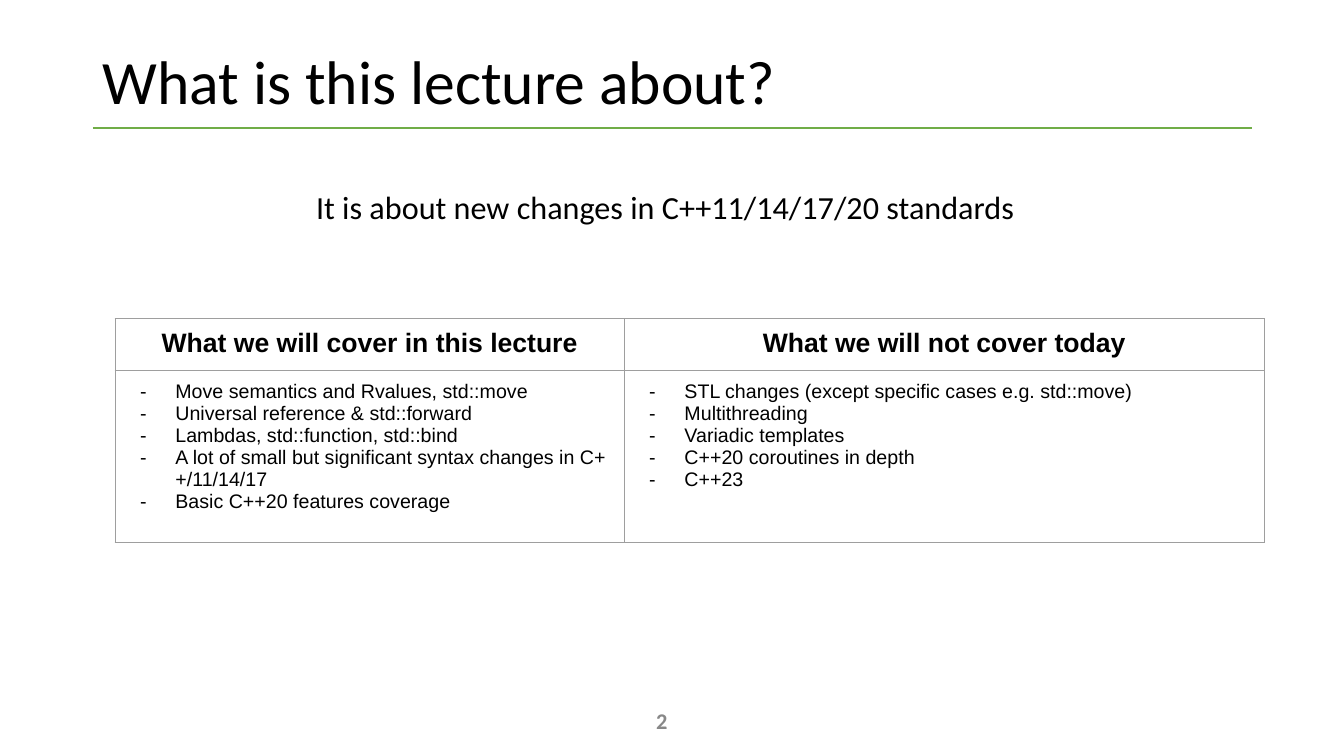
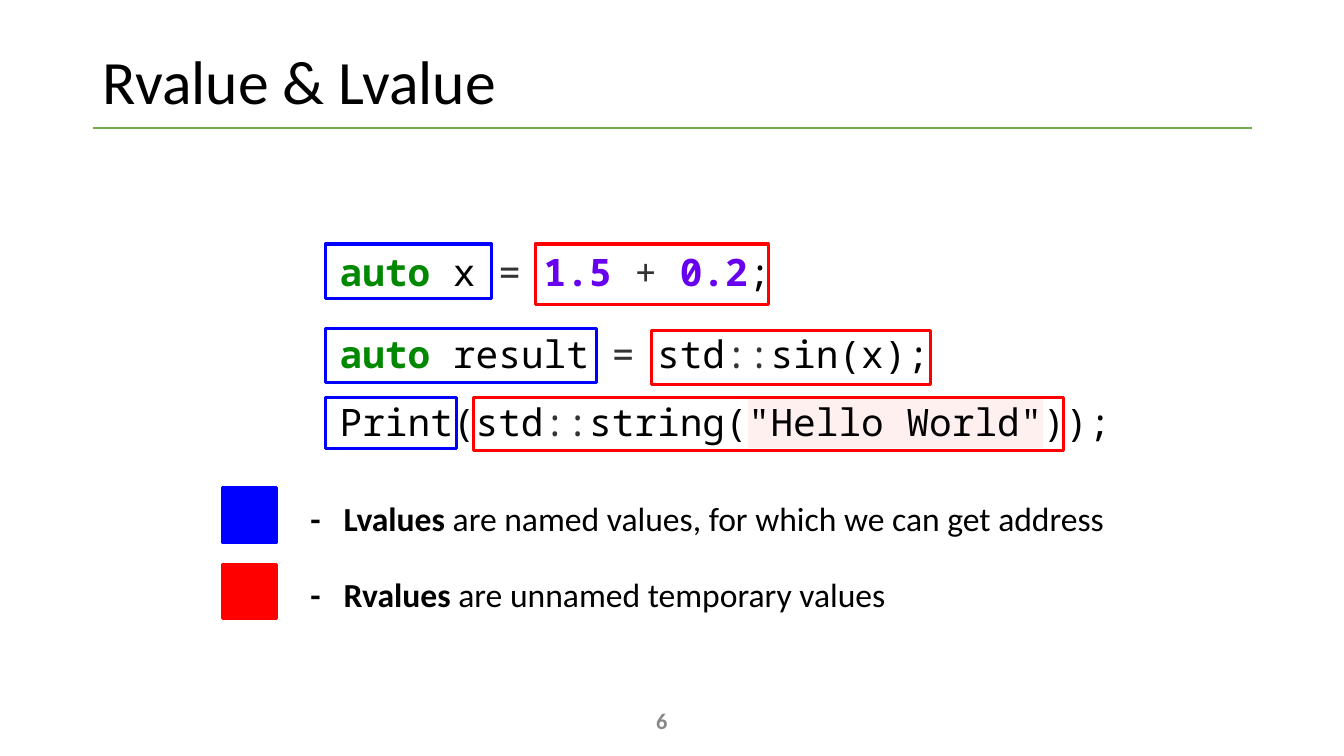
from lxml import etree
from pptx import Presentation
from pptx.dml.color import RGBColor
from pptx.enum.shapes import MSO_CONNECTOR, MSO_SHAPE
from pptx.enum.text import MSO_ANCHOR, PP_ALIGN
from pptx.oxml.ns import qn
from pptx.util import Cm, Pt

RECTANGLE = MSO_SHAPE.RECTANGLE
STRAIGHT = MSO_CONNECTOR.STRAIGHT
TOP, MIDDLE = MSO_ANCHOR.TOP, MSO_ANCHOR.MIDDLE
LEFT, CENTER = PP_ALIGN.LEFT, PP_ALIGN.CENTER

COLORS = {
    "text": "000000",
    "rule": "70AD47",
    "number": "888888",
    "border": "9E9E9E",
    "keyword": "008800",
    "operator": "333333",
    "literal": "6600EE",
    "highlight": "FFF0F0",
    "lvalue": "0000FF",
    "rvalue": "FF0000",
}
FONTS = {
    "title": {"name": "Calibri", "size": Pt(44), "bold": False},
    "number": {"name": "Calibri", "size": Pt(16), "bold": True},
    "intro": {"name": "Calibri", "size": Pt(23), "bold": False},
    "term": {"name": "Calibri", "size": Pt(24), "bold": True},
    "meaning": {"name": "Calibri", "size": Pt(24), "bold": False},
    "heading": {"name": "Arial", "size": Pt(19), "bold": True},
    "item": {"name": "Arial", "size": Pt(14), "bold": False},
    "code": {"name": "Noto Sans Mono", "size": Pt(27), "bold": False},
    "strong code": {"name": "Noto Sans Mono", "size": Pt(27), "bold": True},
}


def write(text_frame, lines, formats=None, indent=None, bullet_font=None):
    for index, runs in enumerate(lines):
        paragraph = text_frame.paragraphs[0] if index == 0 else text_frame.add_paragraph()
        for name, value in (formats or {}).items():
            setattr(paragraph, name, value)
        properties = paragraph._p.get_or_add_pPr()
        for name, value in (indent or {}).items():
            properties.set(name, str(value))
        if bullet_font:
            etree.SubElement(properties, qn("a:buFont"), typeface=bullet_font)
            etree.SubElement(properties, qn("a:buChar"), char="-")
        for text, font, color in runs:
            run = paragraph.add_run()
            run.text = text
            for name, value in FONTS[font].items():
                setattr(run.font, name, value)
            run.font.color.rgb = RGBColor.from_string(COLORS[color])


def add_text(slide, position, lines, inset=0.25, anchor=TOP, formats=None, indent=None):
    text_frame = slide.shapes.add_textbox(*map(Cm, position)).text_frame
    text_frame.word_wrap = True
    text_frame.vertical_anchor = anchor
    text_frame.margin_left = text_frame.margin_right = Cm(0.25)
    text_frame.margin_top = text_frame.margin_bottom = Cm(inset)
    write(text_frame, lines, formats, indent)
    return text_frame


presentation = Presentation()
presentation.slide_width, presentation.slide_height = Cm(33.87), Cm(19.05)
blank_layout = presentation.slide_layouts[6]

slides = []
for title, number in [("What is this lecture about?", "2"), ("Rvalue & Lvalue", "6")]:
    slide = presentation.slides.add_slide(blank_layout)
    rule = slide.shapes.add_connector(STRAIGHT, Cm(2.34), Cm(3.23), Cm(31.55), Cm(3.23))
    rule.line.color.rgb = RGBColor.from_string(COLORS["rule"])
    rule.line.width = Pt(1.5)
    etree.SubElement(rule._element.spPr, qn("a:effectLst"))
    add_text(slide, (2.34, 1.02, 29.21, 2.21), [[(title, "title", "text")]],
             inset=0.13, anchor=MIDDLE, formats={"line_spacing": 0.9})
    add_text(slide, (12.42, 17.65, 8.51, 1.02), [[(number, "number", "number")]],
             inset=0.13, anchor=MIDDLE, formats={"alignment": CENTER})
    slides.append(slide)
overview, values = slides

add_text(overview, (2.9, 4.47, 27.76, 1.83),
         [[("It is about new changes in C++11/14/17/20 standards", "intro", "text")]],
         formats={"alignment": CENTER})

topics = [
    ("What we will cover in this lecture", 12.83, [
        "Move semantics and Rvalues, std::move",
        "Universal reference & std::forward",
        "Lambdas, std::function, std::bind",
        "A lot of small but significant syntax changes in C++/11/14/17",
        "Basic C++20 features coverage",
    ]),
    ("What we will not cover today", 16.13, [
        "STL changes (except specific cases e.g. std::move)",
        "Multithreading",
        "Variadic templates",
        "C++20 coroutines in depth",
        "C++23",
    ]),
]
table = overview.shapes.add_table(2, 2, Cm(2.9), Cm(8.03), Cm(28.96), Cm(5.55)).table
table.first_row = table.horz_banding = False
table.rows[0].height, table.rows[1].height = Cm(1.21), Cm(4.34)
item_indent = {"marL": Cm(1.27), "indent": Cm(-0.89)}
for column, (heading, width, items) in enumerate(topics):
    table.columns[column].width = Cm(width)
    write(table.cell(0, column).text_frame, [[(heading, "heading", "text")]],
          {"alignment": CENTER})
    write(table.cell(1, column).text_frame, [[(item, "item", "text")] for item in items],
          {"alignment": LEFT}, item_indent, "Arial")
for cell in table.iter_cells():
    for side in ("left", "right", "top", "bottom"):
        setattr(cell, f"margin_{side}", Cm(0.25))
    properties = cell._tc.get_or_add_tcPr()
    for edge in ("a:lnL", "a:lnR", "a:lnT", "a:lnB"):
        border = etree.SubElement(properties, qn(edge), w=str(Pt(0.75)))
        fill = etree.SubElement(border, qn("a:solidFill"))
        etree.SubElement(fill, qn("a:srgbClr"), val=COLORS["border"])
    cell.fill.background()

code_lines = [
    [("auto", "strong code", "keyword"), (" x ", "code", "text"), ("= ", "code", "operator"),
     ("1.5 ", "strong code", "literal"), ("+ ", "code", "operator"),
     ("0.2", "strong code", "literal"), (";", "code", "text")],
    [("auto", "strong code", "keyword"), (" result ", "code", "text"),
     ("=", "code", "operator"), (" std", "code", "text"), ("::", "code", "operator"),
     ("sin(x);", "code", "text")],
    [("Print(std", "code", "text"), ("::", "code", "operator"), ("string(", "code", "text"),
     ('"Hello World"', "code", "text"), ("));", "code", "text")],
]
code = add_text(values, (8.31, 5.56, 20.07, 4.62), code_lines, inset=0.13,
                formats={"line_spacing": 1.5})
for paragraph in code.paragraphs[:2]:
    paragraph.space_before = Pt(10)
string_properties = code.paragraphs[2].runs[3]._r.get_or_add_rPr()
highlight = etree.Element(qn("a:highlight"))
etree.SubElement(highlight, qn("a:srgbClr"), val=COLORS["highlight"])
string_properties.find(qn("a:solidFill")).addnext(highlight)

legend = [
    ("lvalue", "-\tLvalues ", "are named values, for which we can get address"),
    ("rvalue", "-\tRvalues ", "are unnamed temporary values"),
]
boxes = [
    ("rvalue", False, (13.49, 6.15, 5.87, 1.52)),
    ("rvalue", False, (16.41, 8.33, 7.04, 1.37)),
    ("rvalue", False, (11.94, 10.01, 14.86, 1.35)),
    ("lvalue", False, (8.2, 6.15, 4.19, 1.37)),
    ("lvalue", False, (8.2, 8.28, 6.83, 1.37)),
    ("lvalue", False, (8.2, 10.01, 3.3, 1.3)),
]
for row, (kind, term, meaning) in enumerate(legend):
    top = 12.29 + row * 1.93
    boxes.append((kind, True, (5.6, top, 1.37, 1.37)))
    add_text(values, (7.57, top, 21.79, 1.73),
             [[(term, "term", "text"), (meaning, "meaning", "text")]],
             indent={"marL": Cm(0.84), "indent": Cm(-0.84)})
for kind, filled, position in boxes:
    shape = values.shapes.add_shape(RECTANGLE, *map(Cm, position))
    shape.shadow.inherit = False
    color = RGBColor.from_string(COLORS[kind])
    shape.line.color.rgb = color
    shape.line.width = Pt(2.25)
    if filled:
        shape.fill.solid()
        shape.fill.fore_color.rgb = color
    else:
        shape.fill.background()

presentation.save("out.pptx")
